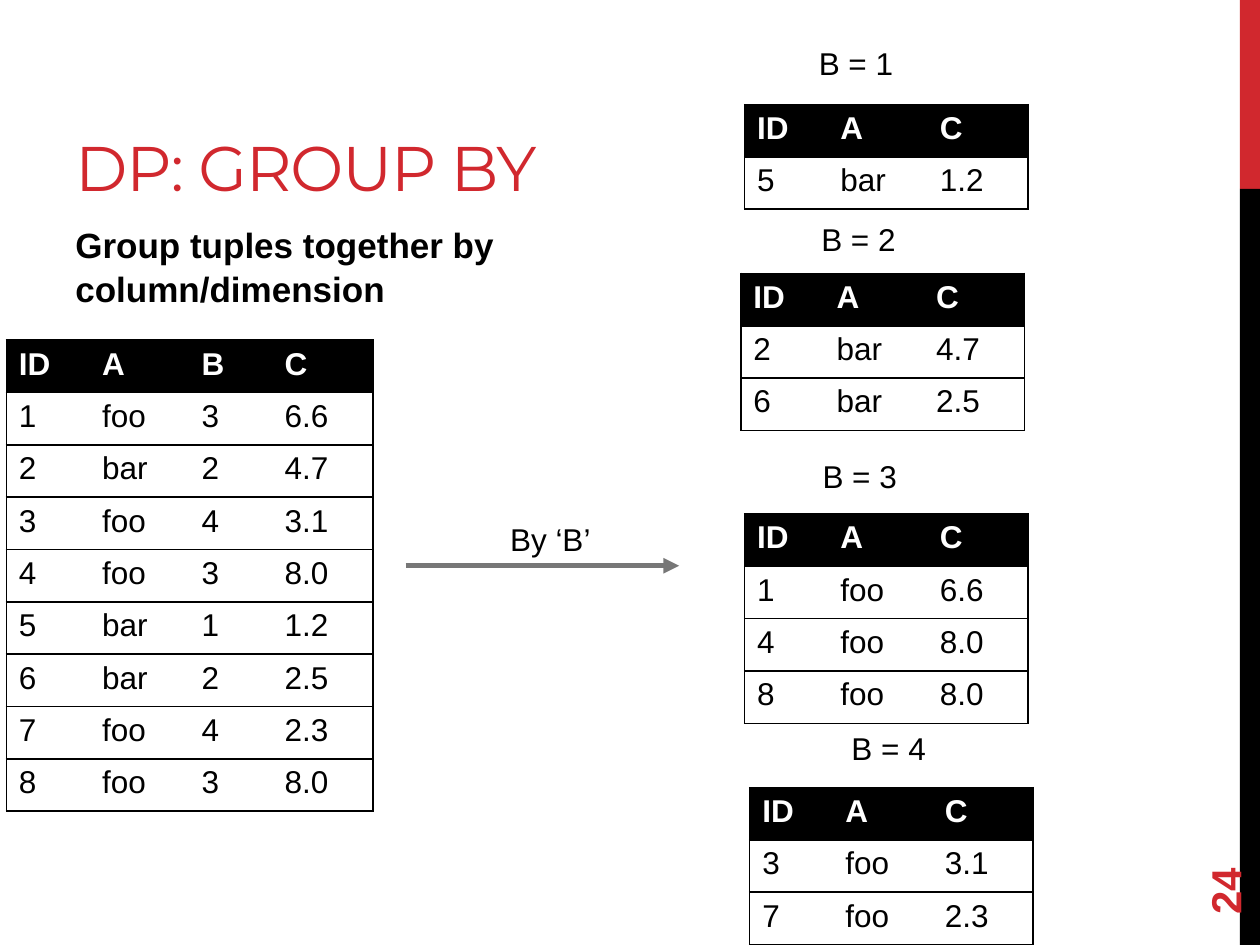
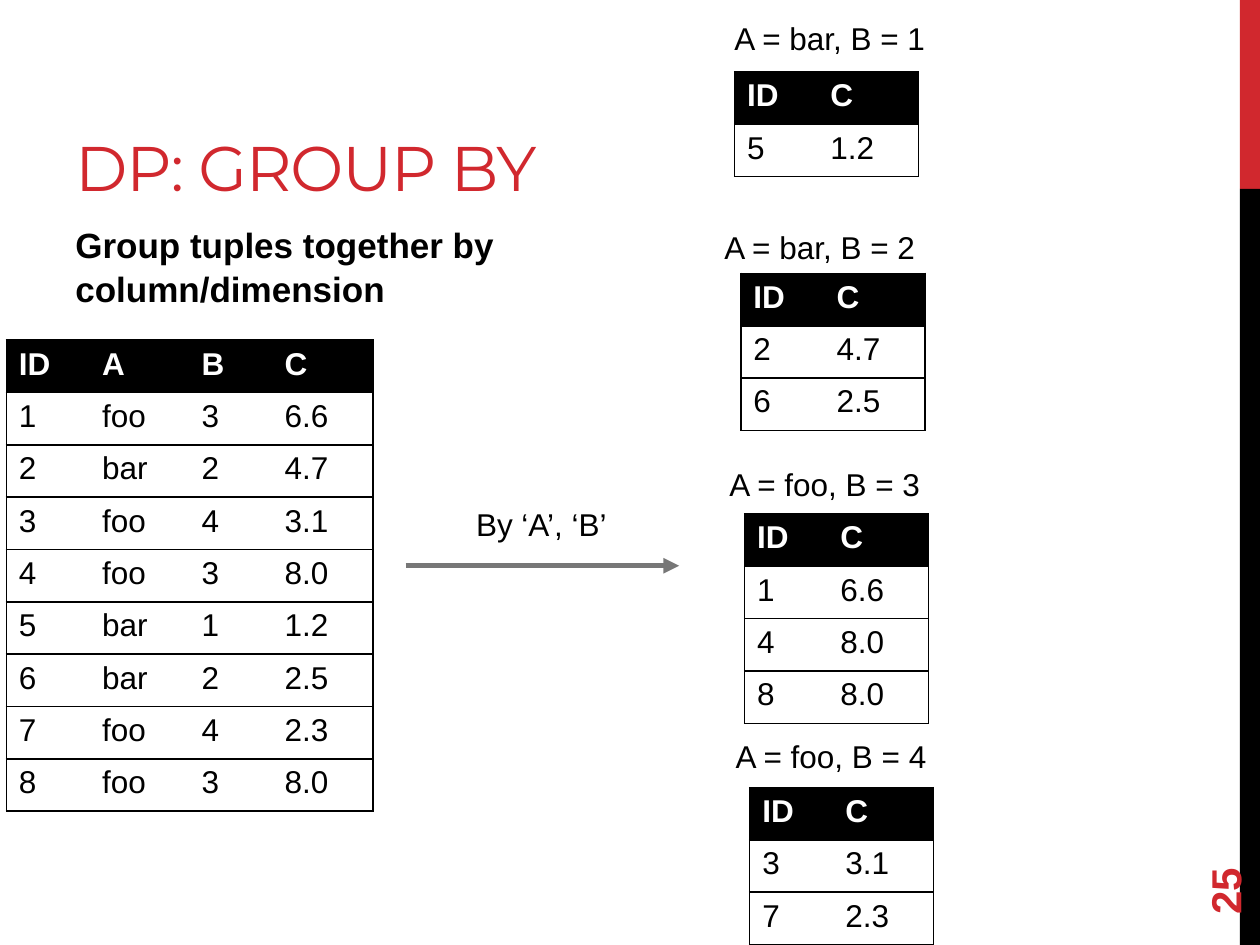
from lxml import etree
from pptx import Presentation
from pptx.dml.color import RGBColor
from pptx.enum.shapes import MSO_CONNECTOR, MSO_SHAPE
from pptx.enum.text import MSO_ANCHOR
from pptx.oxml.ns import qn
from pptx.util import Inches, Pt

RECT, STRAIGHT = MSO_SHAPE.RECTANGLE, MSO_CONNECTOR.STRAIGHT
TOP, MIDDLE, BOTTOM = MSO_ANCHOR.TOP, MSO_ANCHOR.MIDDLE, MSO_ANCHOR.BOTTOM

# Content
TITLE = "DP: GROUP BY"
SUBTITLE = "Group tuples together by column/dimension"
HEADER = ["ID", "A", "B", "C"]
TUPLES = [
    ("1", "foo", "3", "6.6"),
    ("2", "bar", "2", "4.7"),
    ("3", "foo", "4", "3.1"),
    ("4", "foo", "3", "8.0"),
    ("5", "bar", "1", "1.2"),
    ("6", "bar", "2", "2.5"),
    ("7", "foo", "4", "2.3"),
    ("8", "foo", "3", "8.0"),
]
# Places are (left, top); groups come in the order of their keys
SLIDES = [
    dict(number="24", keys=["B"], caption="By ‘B’", caption_box=(3.95, 4.08, 1.23, 0.4),
         label_w=0.8,
         labels=[(6.4, 0.3), (6.42, 1.7), (6.43, 3.58), (6.66, 5.74)],
         tables=[(5.91, 0.83), (5.88, 2.17), (5.91, 4.08), (5.95, 6.25)]),
    dict(number="25", keys=["A", "B"], caption="By ‘A’, ‘B’", caption_box=(3.68, 3.96, 1.96, 0.4),
         label_w=1.73,
         labels=[(5.73, 0.1), (5.65, 1.76), (5.69, 3.64), (5.74, 5.8)],
         tables=[(5.83, 0.57), (5.88, 2.17), (5.91, 4.08), (5.95, 6.25)]),
]

# Shared look
W, H = 10, 7.5
RED, BLACK, WHITE, GRAY = "D1282E", "000000", "FFFFFF", "777777"
BAND_W, RED_H = 0.16, H / 5
COL_W = {"ID": 0.66, "A": 0.79, "B": 0.66, "C": 0.8}
ROW_H = 3.74 / 9
SOURCE_AT = (0.05, 2.7)
ARROW_X, ARROW_Y = (3.22, 5.39), 4.49
BODY = dict(name="Arial", size=Pt(18), bold=False)
HEAD = dict(BODY, bold=True)
TITLE_FONT = dict(name="Montserrat", size=Pt(36), bold=False)
SUBTITLE_FONT = dict(HEAD, size=Pt(20))
NUMBER_FONT = dict(HEAD, size=Pt(24))


def rgb(value):
    return RGBColor.from_string(value)


def inches(*values):
    return [Inches(v) for v in values]


def write(tf, text, font, color):
    p = tf.paragraphs[0]
    r = p.add_run()
    r.text = text
    for key, value in font.items():
        setattr(r.font, key, value)
    r.font.color.rgb = rgb(color)
    return p, r


def add_text(s, box, text, font=BODY, color=BLACK, anchor=TOP, wrap=True):
    sp = s.shapes.add_textbox(*inches(*box))
    tf = sp.text_frame
    tf.word_wrap, tf.vertical_anchor = wrap, anchor
    return (sp, *write(tf, text, font, color))


def add_band(s, top, height, color):
    sp = s.shapes.add_shape(RECT, *inches(W - BAND_W, top, BAND_W, height))
    sp.shadow.inherit = False
    sp.fill.solid()
    sp.fill.fore_color.rgb = rgb(color)
    sp.line.fill.background()


def set_borders(cell, sides):
    """Draw thin black lines on the named sides, and none on the others."""
    tc_pr = cell._tc.get_or_add_tcPr()
    for i, side in enumerate("LRTB"):
        ln = etree.Element(qn("a:ln" + side), w=str(Pt(1)))
        if side in sides:
            fill = etree.SubElement(ln, qn("a:solidFill"))
            etree.SubElement(fill, qn("a:srgbClr"), val=BLACK)
        else:
            etree.SubElement(ln, qn("a:noFill"))
        tc_pr.insert(i, ln)


def add_tuples(s, at, header, rows):
    grid = [header, *rows]
    widths = [COL_W[name] for name in header]
    table = s.shapes.add_table(len(grid), len(header),
                               *inches(*at, sum(widths), ROW_H * len(grid))).table
    for col, width in zip(table.columns, widths):
        col.width = Inches(width)
    for i, values in enumerate(grid):
        table.rows[i].height = Inches(ROW_H)
        font, color, fill = (BODY, BLACK, WHITE) if i else (HEAD, WHITE, BLACK)
        for j, value in enumerate(values):
            cell = table.cell(i, j)
            cell.fill.solid()
            cell.fill.fore_color.rgb = rgb(fill)
            write(cell.text_frame, value, font, color)
            left = "L" if j == 0 else ""
            right = "R" if j == len(header) - 1 else ""
            set_borders(cell, "TB" + left + right)


def add_arrow(s):
    x1, x2 = ARROW_X
    line = s.shapes.add_connector(STRAIGHT, *inches(x1, ARROW_Y, x2, ARROW_Y))
    line.line.color.rgb = rgb(GRAY)
    line.line.width = Pt(3)
    etree.SubElement(line.line._get_or_add_ln(), qn("a:tailEnd"), type="triangle")
    etree.SubElement(line._element.spPr, qn("a:effectLst"))


def group_by(keys):
    """Return the columns left over and the rows under each key."""
    key_cols = [HEADER.index(k) for k in keys]
    rest = [i for i in range(len(HEADER)) if i not in key_cols]
    groups = {}
    for row in TUPLES:
        key = tuple(row[i] for i in key_cols)
        groups.setdefault(key, []).append([row[i] for i in rest])
    return [HEADER[i] for i in rest], sorted(groups.items())


def add_frame(s, number):
    add_band(s, 0, RED_H, RED)
    add_band(s, RED_H, H - RED_H, BLACK)
    sp, p, r = add_text(s, (0.5, 0.17, 7.12, 1.5), TITLE, TITLE_FONT, RED, BOTTOM)
    r.font._element.set("spc", "-60")
    sp, p, r = add_text(s, (0.5, 1.71, 5.66, 0.82), SUBTITLE, SUBTITLE_FONT)
    p.line_spacing = 1.05
    sp, p, r = add_text(s, (9, 6.44, 1.44, 0.4), number, NUMBER_FONT, RED, MIDDLE)
    sp.rotation = 270


def main():
    prs = Presentation()
    prs.slide_width, prs.slide_height = inches(W, H)
    for spec_ in SLIDES:
        s = prs.slides.add_slide(prs.slide_layouts[6])
        add_frame(s, spec_["number"])

        # Ungrouped tuples and the grouping step
        add_tuples(s, SOURCE_AT, HEADER, TUPLES)
        add_text(s, spec_["caption_box"], spec_["caption"])
        add_arrow(s)

        # One labelled table per group
        header, groups = group_by(spec_["keys"])
        for (key, rows), label_at, table_at in zip(groups, spec_["labels"], spec_["tables"]):
            label = ", ".join(f"{k} = {v}" for k, v in zip(spec_["keys"], key))
            add_tuples(s, table_at, header, rows)
            add_text(s, (*label_at, spec_["label_w"], 0.4), label, wrap=False)
    prs.save("out.pptx")


if __name__ == "__main__":
    main()
